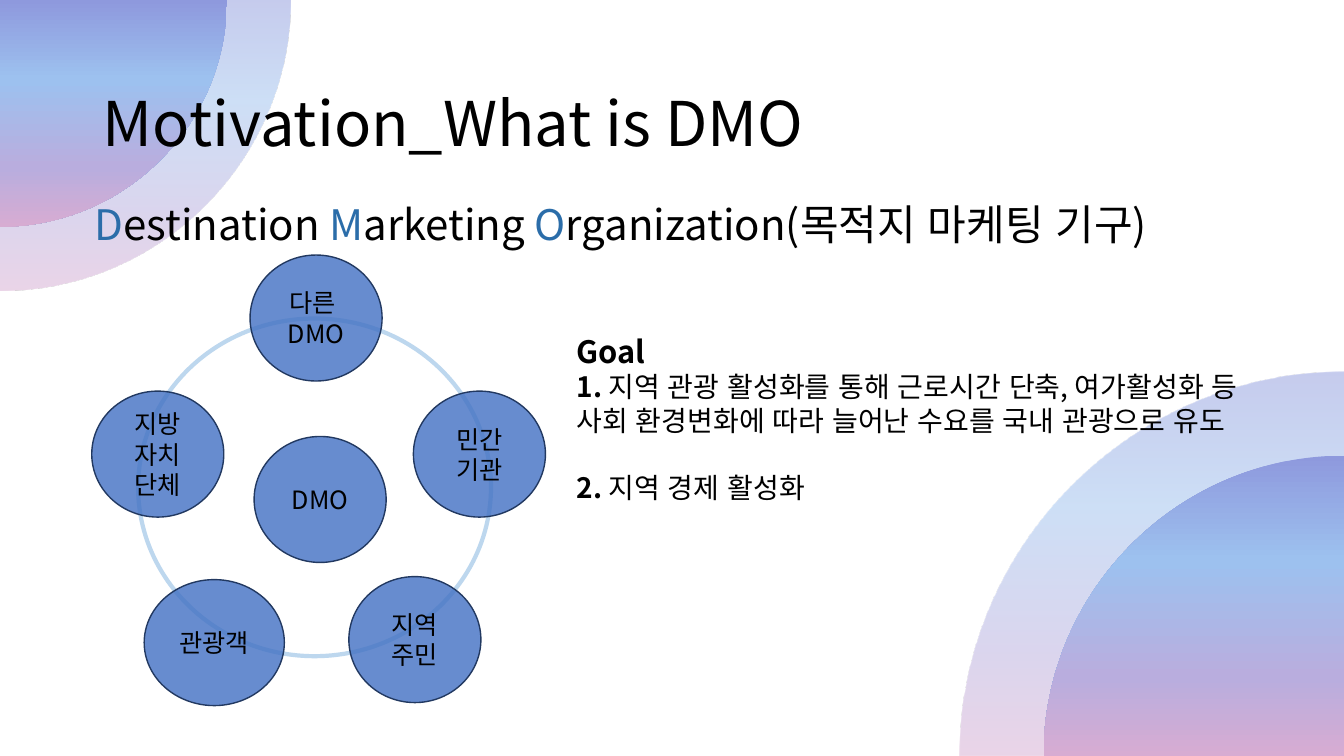
from lxml import etree
from pptx import Presentation
from pptx.dml.color import RGBColor
from pptx.enum.lang import MSO_LANGUAGE_ID
from pptx.enum.shapes import MSO_SHAPE
from pptx.enum.text import MSO_ANCHOR, MSO_AUTO_SIZE, PP_ALIGN
from pptx.oxml import parse_xml
from pptx.oxml.ns import qn
from pptx.util import Inches, Pt

ELLIPSE = MSO_SHAPE.OVAL
TOP, MIDDLE = MSO_ANCHOR.TOP, MSO_ANCHOR.MIDDLE
NO_FIT = MSO_AUTO_SIZE.NONE
LEFT, CENTER = PP_ALIGN.LEFT, PP_ALIGN.CENTER
KOREAN = MSO_LANGUAGE_ID.KOREAN

FONT = "Noto Sans CJK KR"
BLACK = RGBColor(0x00, 0x00, 0x00)
INITIAL_BLUE = RGBColor(0x2B, 0x6D, 0xA9)
RING_BLUE = RGBColor(0xBD, 0xD7, 0xEE)
CIRCLE_BLUE = RGBColor(0x44, 0x72, 0xC4)
CIRCLE_LINE = RGBColor(0x22, 0x39, 0x61)
GRADIENT = [
    (0, RGBColor(0x8E, 0x99, 0xDD)),
    (35, RGBColor(0x9D, 0xC1, 0xEF)),
    (74, RGBColor(0xB9, 0xAD, 0xDE)),
    (100, RGBColor(0xD7, 0xAC, 0xD2)),
]
DRAWING = "http://schemas.openxmlformats.org/drawingml/2006/main"
WIDTH, HEIGHT = 13.33, 7.5
ARC_HANDLE = 0.55

CORNERS = [
    (0, 0, 1, 2.88, 50),
    (0, 0, 1, 2.25, 100),
    (WIDTH, HEIGHT, -1, 3.81, 50),
    (WIDTH, HEIGHT, -1, 2.98, 100),
]
CIRCLES = [
    (2.52, 4.33, 1.31, ["DMO"]),
    (2.48, 2.53, 1.31, ["다른 ", "DMO"]),
    (4.1, 3.88, 1.31, ["민간", "기관"]),
    (3.46, 5.72, 1.31, ["지역 주민"]),
    (0.91, 3.88, 1.31, ["지방", "자치", "단체"]),
    (1.43, 5.75, 1.39, ["관광객"]),
]
HEADING = [
    ("D", INITIAL_BLUE), ("estination ", BLACK),
    ("M", INITIAL_BLUE), ("arketing ", BLACK),
    ("O", INITIAL_BLUE), ("rganization(목적지 마케팅 기구)", BLACK),
]
GOALS = [
    (22, 0, [("Goal", True)]),
    (20, 0, [("1.", True), (" 지역 관광 활성화를 통해 근로시간 단축, 여가활성화 등", False)]),
    (20, 0, [("사회 환경변화에 따라 늘어난 수요를 국내 관광으로 유도", False)]),
    (20, 24, [("2.", True), (" 지역 경제 활성화", False)]),
]


def add_run(paragraph, text, size, color=BLACK, bold=False):
    """Append a Korean run with its Latin and East Asian font."""
    run = paragraph.add_run()
    run.text = text
    run.font.size = Pt(size)
    run.font.bold = bold
    run.font.language_id = KOREAN
    run.font.color.rgb = color
    run.font.name = FONT
    latin = run.font._element.find(qn("a:latin"))
    latin.addnext(latin.makeelement(qn("a:ea"), {"typeface": FONT}))


def next_paragraph(frame, index):
    """Return the first paragraph of a frame, or a new one after it."""
    return frame.add_paragraph() if index else frame.paragraphs[0]


def bend_edge(shape, direction, radius):
    """Turn the second straight edge of a corner shape into an arc."""
    edge = list(shape._element.iter(qn("a:lnTo")))[1]
    curve = edge.makeelement(qn("a:cubicBezTo"), {})
    handle = radius * ARC_HANDLE
    for x, y in [(radius, handle), (handle, radius), (0, radius)]:
        if direction < 0:
            x, y = radius - x, radius - y
        etree.SubElement(curve, qn("a:pt"), x=str(Inches(x)), y=str(Inches(y)))
    edge.getparent().replace(edge, curve)


def add_quarter_disc(slide, corner_x, corner_y, direction, radius, opacity):
    """Draw a gradient quarter disc centred on a slide corner."""
    reach = direction * radius
    builder = slide.shapes.build_freeform(Inches(corner_x), Inches(corner_y))
    builder.add_line_segments(
        [
            (Inches(corner_x + reach), Inches(corner_y)),
            (Inches(corner_x), Inches(corner_y + reach)),
        ],
        close=True,
    )
    shape = builder.convert_to_shape()
    bend_edge(shape, direction, radius)
    shape.shadow.inherit = False
    shape.line.fill.background()
    shape.fill.background()
    stops = "".join(
        f'<a:gs pos="{position * 1000}"><a:srgbClr val="{color}">'
        f'<a:alpha val="{opacity * 1000}"/></a:srgbClr></a:gs>'
        for position, color in GRADIENT
    )
    gradient = parse_xml(
        f'<a:gradFill xmlns:a="{DRAWING}" rotWithShape="0"><a:gsLst>{stops}</a:gsLst>'
        '<a:lin ang="5400000" scaled="0"/></a:gradFill>'
    )
    properties = shape._element.spPr
    properties.replace(properties.find(qn("a:noFill")), gradient)


def add_ellipse(slide, left, top, width, height, line_color, line_width):
    """Add an outlined ellipse without fill or shadow."""
    shape = slide.shapes.add_shape(
        ELLIPSE, Inches(left), Inches(top), Inches(width), Inches(height)
    )
    shape.shadow.inherit = False
    shape.fill.background()
    shape.line.color.rgb = line_color
    shape.line.width = Pt(line_width)
    return shape


def add_circle(slide, left, top, width, lines):
    """Add a translucent labelled circle."""
    shape = add_ellipse(slide, left, top, width, 1.25, CIRCLE_LINE, 1)
    shape.fill.solid()
    shape.fill.fore_color.rgb = CIRCLE_BLUE
    color = shape._element.spPr.find(qn("a:solidFill")).find(qn("a:srgbClr"))
    etree.SubElement(color, qn("a:alpha"), val="81000")
    frame = shape.text_frame
    frame.word_wrap = True
    frame.vertical_anchor = MIDDLE
    for index, line in enumerate(lines):
        paragraph = next_paragraph(frame, index)
        paragraph.alignment = CENTER
        add_run(paragraph, line, 18)


def add_title(slide, text):
    """Place the title above the corner shapes."""
    title = slide.shapes.title
    title.left, title.top = Inches(0.92), Inches(0.79)
    title.width, title.height = Inches(11.5), Inches(1.06)
    title.text_frame.auto_size = NO_FIT
    title.text_frame.vertical_anchor = TOP
    paragraph = title.text_frame.paragraphs[0]
    paragraph.alignment = LEFT
    add_run(paragraph, text, 44)
    title._element.getparent().append(title._element)


def add_text_box(slide, left, top, width, height):
    """Add a wrapping text box and return its text frame."""
    box = slide.shapes.add_textbox(
        Inches(left), Inches(top), Inches(width), Inches(height)
    )
    box.text_frame.word_wrap = True
    return box.text_frame


def main():
    """Build the slide and save it."""
    presentation = Presentation()
    presentation.slide_width = Inches(WIDTH)
    presentation.slide_height = Inches(HEIGHT)
    slide = presentation.slides.add_slide(presentation.slide_layouts[5])

    for corner in CORNERS[:2]:
        add_quarter_disc(slide, *corner)
    add_ellipse(slide, 1.37, 3.16, 3.5, 3.35, RING_BLUE, 3)
    for corner in CORNERS[2:]:
        add_quarter_disc(slide, *corner)

    heading = add_text_box(slide, 0.84, 1.98, 11.89, 4.76).paragraphs[0]
    heading.line_spacing = 0.9
    for text, color in HEADING:
        add_run(heading, text, 30, color)
    add_title(slide, "Motivation_What is DMO")

    for circle in CIRCLES:
        add_circle(slide, *circle)

    goal_frame = add_text_box(slide, 5.62, 3.25, 7.39, 2.1)
    for index, (size, space_before, runs) in enumerate(GOALS):
        paragraph = next_paragraph(goal_frame, index)
        paragraph.space_before = Pt(space_before)
        for text, bold in runs:
            add_run(paragraph, text, size, bold=bold)

    presentation.save("out.pptx")


if __name__ == "__main__":
    main()
